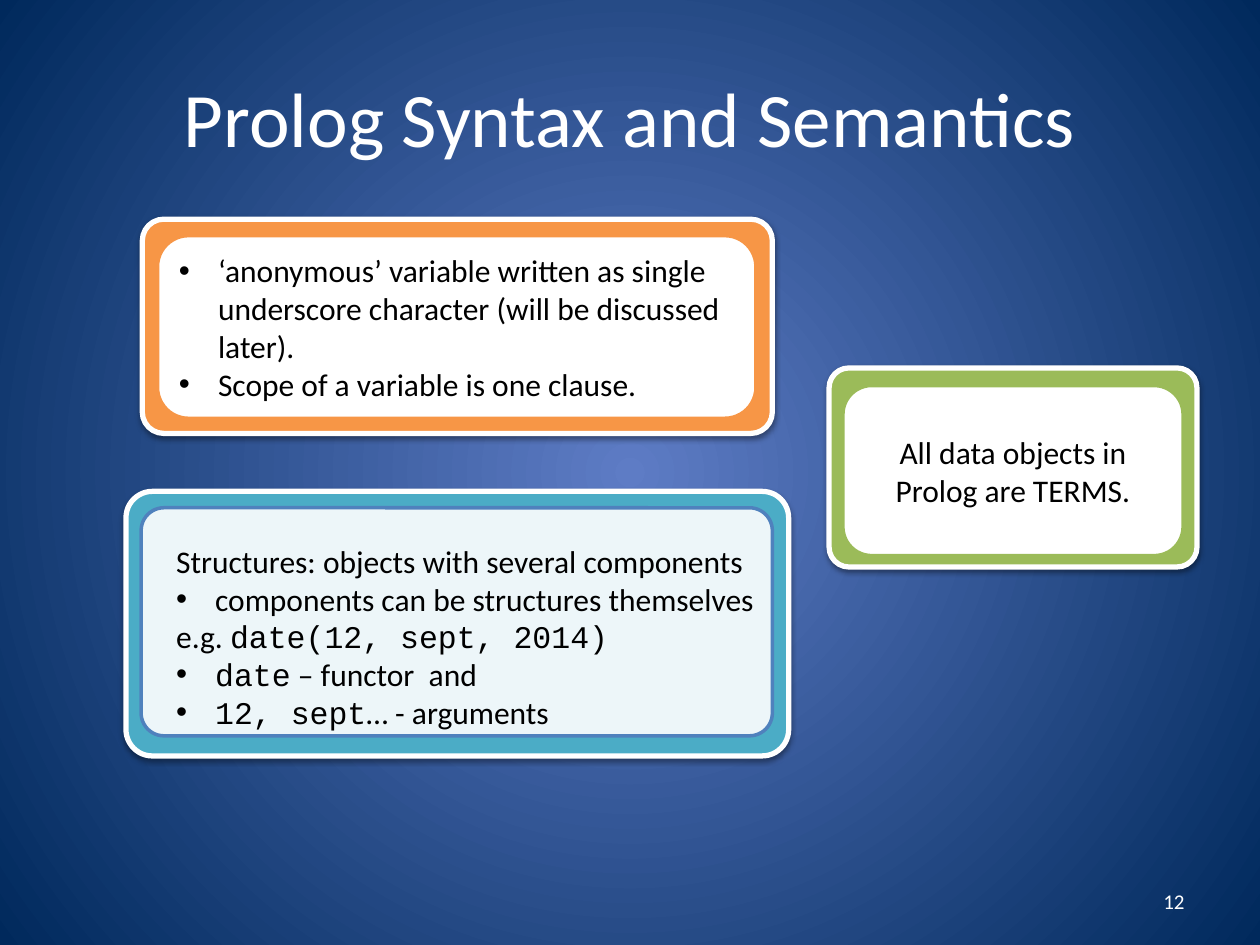
from lxml.etree import SubElement
from pptx import Presentation
from pptx.dml.color import RGBColor
from pptx.enum.shapes import MSO_SHAPE
from pptx.enum.text import MSO_ANCHOR, PP_ALIGN
from pptx.oxml import parse_xml
from pptx.oxml.ns import nsdecls, qn
from pptx.util import Inches, Pt

COLS, ROWS = 100, 75  # grid of the slide
WHITE, BLACK = "FFFFFF", "000000"
SANS, MONO = "Calibri", "Courier New"

deck = Presentation()
deck.slide_width, deck.slide_height = Inches(10), Inches(7.5)
slide = deck.slides.add_slide(deck.slide_layouts[6])


def color(code):
    return RGBColor.from_string(code)


def place(box):
    """Turn grid columns and rows into slide lengths."""
    col, row = deck.slide_width / COLS, deck.slide_height / ROWS
    return [int(n * unit) for n, unit in zip(box, (col, row, col, row))]


def inset(box, left, top, right, low):
    x, y, w, h = box
    return x + left, y + top, w - left - right, h - top - low


def write(shape, paras, size=18, ink=BLACK, align=PP_ALIGN.LEFT,
          anchor=MSO_ANCHOR.MIDDLE):
    """Each paragraph is (bullet, run, ...); a run is (text, font)."""
    frame = shape.text_frame
    frame.word_wrap = True
    frame.vertical_anchor = anchor
    for i, (dot, *runs) in enumerate(paras):
        para = frame.add_paragraph() if i else frame.paragraphs[0]
        para.alignment = align
        if dot:
            props = para._p.get_or_add_pPr()
            props.set("marL", str(Inches(0.31)))
            props.set("indent", str(-Inches(0.31)))
            SubElement(props, qn("a:buFont"), typeface="Arial")
            SubElement(props, qn("a:buChar"), char="•")
        for text, face in runs:
            run = para.add_run()
            run.text = text
            run.font.name, run.font.size = face, Pt(size)
            run.font.color.rgb = color(ink)


def label(box, paras, **form):
    write(slide.shapes.add_textbox(*place(box)), paras, **form)


def panel(box, fill, line, width, round=0.1):
    shape = slide.shapes.add_shape(MSO_SHAPE.ROUNDED_RECTANGLE, *place(box))
    shape.adjustments[0] = round
    shape.shadow.inherit = False
    shape.fill.solid()
    shape.fill.fore_color.rgb = color(fill)
    shape.line.color.rgb = color(line)
    shape.line.width = Pt(width)
    return shape


def frame(box, fill):
    """Coloured outer panel with a soft shadow below it."""
    shape = panel(box, fill, WHITE, 3)
    shape._element.spPr.find(qn("a:effectLst")).append(parse_xml(
        f'<a:outerShdw {nsdecls("a")} blurRad="{Pt(3.1)}" dist="{Pt(1.6)}" '
        'dir="5400000" rotWithShape="0"><a:srgbClr val="000000">'
        '<a:alpha val="38000"/></a:srgbClr></a:outerShdw>'))


def card(box, pad, fill, paras, **form):
    """Frame with a white panel that holds the text."""
    frame(box, fill)
    write(panel(inset(box, *pad), WHITE, fill, 2, 0.17), paras, **form)


def sheet(box, fill, line, paras):
    """Frame with a faintly clear panel and text laid over it."""
    frame(box, fill)
    pane = panel(inset(box, 1.2, 1.3, 1.3, 1.6), WHITE, line, 2)
    tint = pane._element.spPr.find(qn("a:solidFill"))[0]
    SubElement(tint, qn("a:alpha"), val="90000")
    label(inset(box, 3, 3.5, 0, 1.3), paras, anchor=MSO_ANCHOR.TOP)


def backdrop(inner, outer):
    fill = slide.background.fill
    fill.gradient()
    for stop, code in zip(fill.gradient_stops, (inner, outer)):
        stop.color.rgb = color(code)
    grad = slide._element.cSld.find(".//" + qn("a:gradFill"))
    for stop, pos in zip(grad.iter(qn("a:gs")), ("0", "100000")):
        stop.set("pos", pos)
    grad.replace(grad.find(qn("a:lin")), parse_xml(
        f'<a:path {nsdecls("a")} path="circle"><a:fillToRect '
        'l="50000" t="50000" r="50000" b="50000"/></a:path>'))


backdrop("5E7CC5", "00295C")

# Title
label((5, 3, 90, 12.5), [(False, ("Prolog Syntax and Semantics", SANS))],
      size=44, ink=WHITE, align=PP_ALIGN.CENTER)

# Variables
card((11.3, 17.4, 50, 17), (1.2, 1.3, 1.3, 1.2), "F79646", [
    (True, ("‘anonymous’ variable written as single underscore character "
            "(will be discussed later).", SANS)),
    (True, ("Scope of a variable is one clause.", SANS))])

# Structures
sheet((10, 39, 52.6, 21), "4BACC6", "4F81BD", [
    (False, ("Structures: objects with several components", SANS)),
    (True, ("components can be structures themselves", SANS)),
    (False, ("e.g. ", SANS), ("date(12, sept, 2014)", MONO)),
    (True, ("date", MONO), (" – functor  and", SANS)),
    (True, ("12, sept", MONO), ("… - arguments", SANS))])

# Terms
card((65.8, 29.2, 29.2, 15.8), (1.1, 1.4, 1.1, 0.9), "9BBB59",
     [(False, ("All data objects in Prolog are TERMS.", SANS))],
     align=PP_ALIGN.CENTER)

# Page number
label((71.7, 69.5, 23.3, 4), [(False, ("12", SANS))],
      size=12, ink=WHITE, align=PP_ALIGN.RIGHT)

deck.save("out.pptx")
